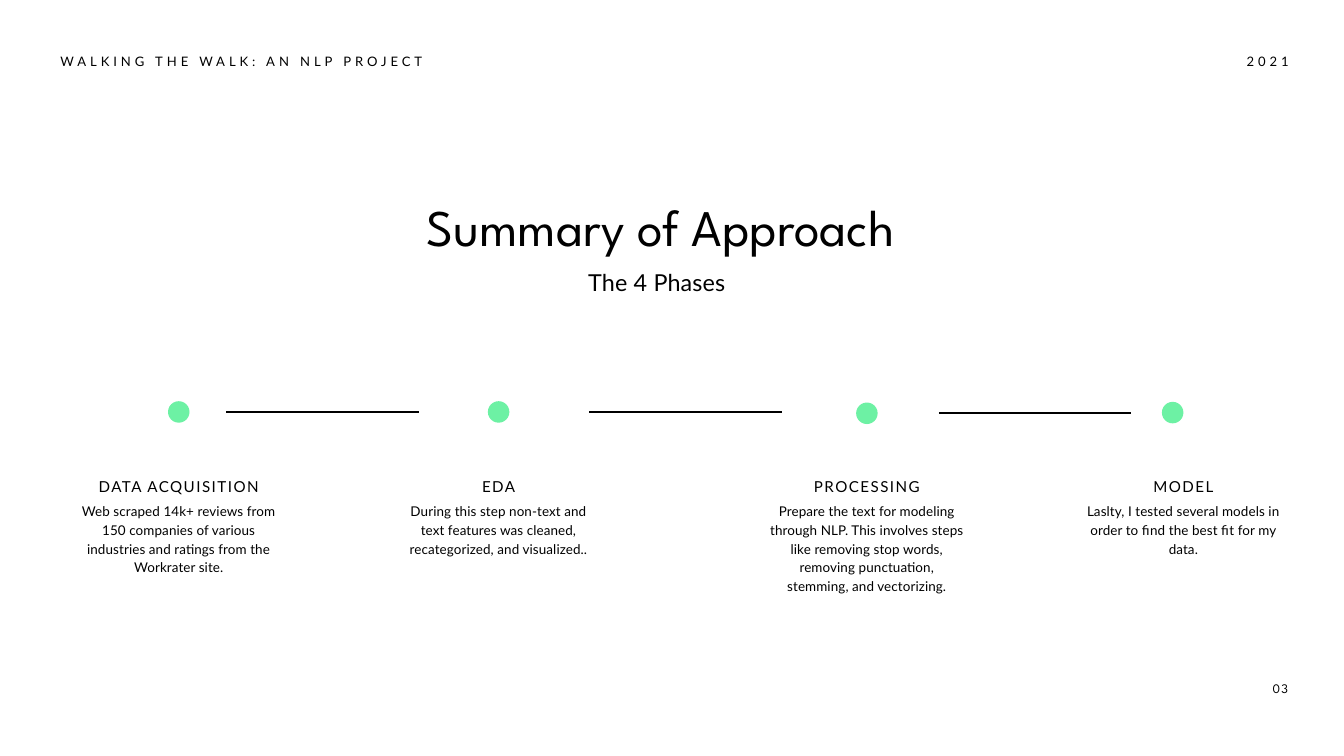
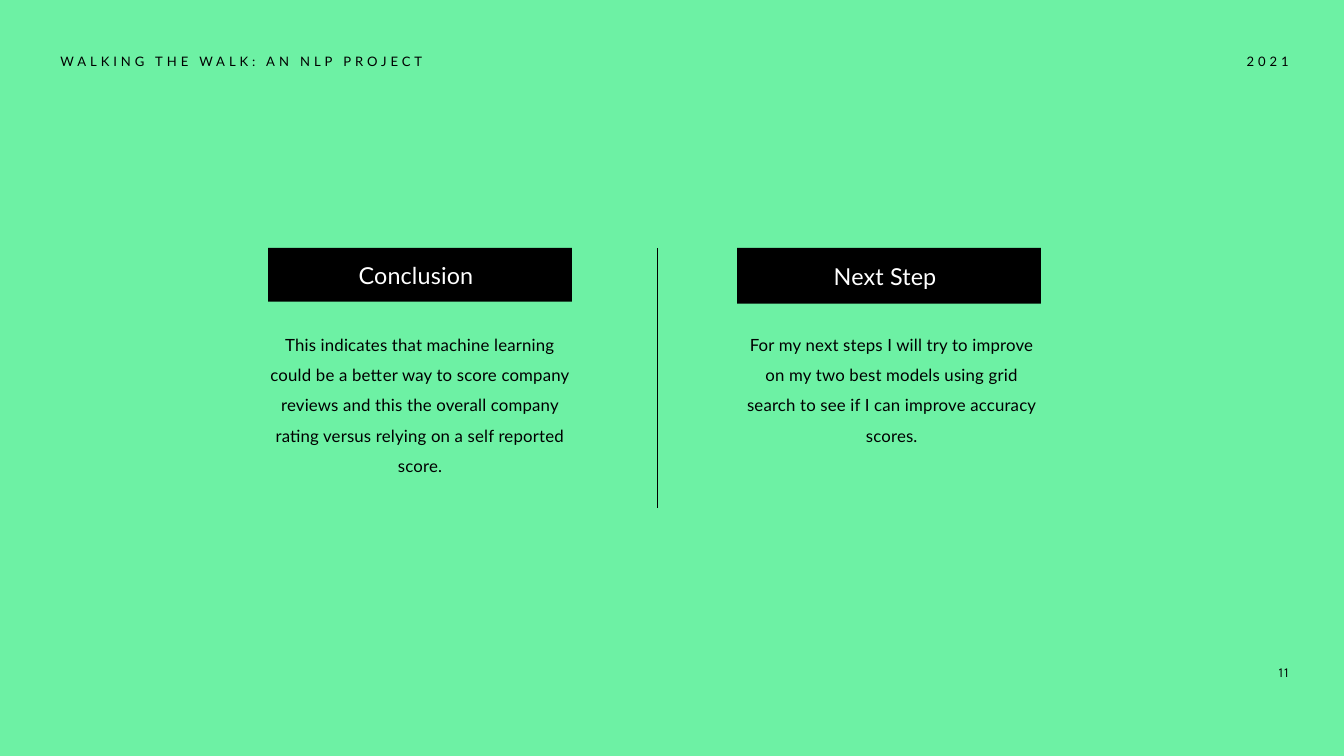
from lxml import etree
from pptx import Presentation
from pptx.dml.color import RGBColor
from pptx.enum.shapes import MSO_CONNECTOR, MSO_SHAPE
from pptx.enum.text import MSO_ANCHOR, MSO_AUTO_SIZE, PP_ALIGN
from pptx.oxml.ns import qn
from pptx.util import Inches, Pt

WIDTH, HEIGHT = 20, 11.25
BLACK, WHITE, GREEN = "000000", "FFFFFF", "6DF1A4"
BODY_FONT, DISPLAY_FONT = "Lato", "League Spartan"
LEFT, CENTER, RIGHT = PP_ALIGN.LEFT, PP_ALIGN.CENTER, PP_ALIGN.RIGHT

# style: font, size, line spacing, letter spacing (all in points)
STYLES = {
    "header": (BODY_FONT, 14, 16.8, 4.2),
    "number": (DISPLAY_FONT, 14, 16.8, 1.4),
    "title": (DISPLAY_FONT, 55, 66, 0),
    "subtitle": (BODY_FONT, 25, 30, 0.2),
    "phase": (BODY_FONT, 16.2, 24.3, 1.6),
    "detail": (BODY_FONT, 14.4, 20.1, 0.1),
    "body": (BODY_FONT, 18, 32.4, 0.2),
}

HEADER, YEAR = "WALKING THE WALK: AN NLP PROJECT", "2021"
TITLE, SUBTITLE = "Summary of Approach", "The 4 Phases"

# heading, detail, column centre, dot centre x and y
PHASES = [
    ("DATA ACQUISITION",
     "Web scraped 14k+ reviews from 150 companies of various industries "
     "and ratings from the Workrater site.", 2.66, 2.66, 6.13),
    ("EDA",
     "During this step non-text and text features was cleaned, "
     "recategorized, and visualized..", 7.42, 7.42, 6.13),
    ("PROCESSING",
     "Prepare the text for modeling through NLP. This involves steps like "
     "removing stop words, removing punctuation, stemming, and vectorizing.",
     12.9, 12.9, 6.15),
    ("MODEL",
     "Laslty, I tested several models in order to find the best fit for my "
     "data.", 17.61, 17.45, 6.14),
]
LINKS = [(3.37, 6.13), (8.77, 6.13), (13.97, 6.15)]  # left end and height
LINK_LENGTH, DOT = 2.86, 0.32
PHASE_WIDTH, DETAIL_WIDTH = 3.03, 2.97

# heading, text, banner left, banner height, text left
PANELS = [
    ("Conclusion",
     "This indicates that machine learning could be a better way to score "
     "company reviews and this the overall company rating versus relying on "
     "a self reported score.", 3.99, 0.8, 3.99),
    ("Next Step",
     "For my next steps I will try to improve on my two best models using "
     "grid search to see if I can improve accuracy scores.",
     10.97, 0.83, 11.01),
]
PANEL_TOP, PANEL_WIDTH, DIVIDER_X, DIVIDER_LENGTH = 3.69, 4.52, 9.78, 3.87


def rgb(color):
    return RGBColor.from_string(color)


def inches(*lengths):
    return [Inches(length) for length in lengths]


def write(shape, text, style, align=CENTER, color=BLACK,
          anchor=MSO_ANCHOR.TOP, margin_right=0):
    font, size, line, tracking = STYLES[style]
    frame = shape.text_frame
    frame.word_wrap = True
    frame.auto_size = MSO_AUTO_SIZE.NONE
    frame.vertical_anchor = anchor
    frame.margin_left = frame.margin_top = frame.margin_bottom = 0
    frame.margin_right = Inches(margin_right)
    para = frame.paragraphs[0]
    para.alignment = align
    para.line_spacing = Pt(line)
    span = para.add_run()
    span.text = text
    span.font.name, span.font.size = font, Pt(size)
    span.font.color.rgb = rgb(color)
    if tracking:
        span.font._element.set("spc", str(round(tracking * 100)))


def add_text(page, bounds, text, style, align=CENTER):
    write(page.shapes.add_textbox(*inches(*bounds)), text, style, align)


def add_filled(page, kind, bounds, color):
    shape = page.shapes.add_shape(kind, *inches(*bounds))
    shape.shadow.inherit = False
    shape.fill.solid()
    shape.fill.fore_color.rgb = rgb(color)
    shape.line.fill.background()
    return shape


def add_line(page, ends, weight):
    line = page.shapes.add_connector(MSO_CONNECTOR.STRAIGHT, *inches(*ends))
    line.line.color.rgb = rgb(BLACK)
    line.line.width = Pt(weight)
    etree.SubElement(line._element.spPr, qn("a:effectLst"))


def add_page(deck, layout, background, number, number_top):
    """Add a slide with its background, running header and page number."""
    page = deck.slides.add_slide(deck.slide_layouts[layout])
    page.background.fill.solid()
    page.background.fill.fore_color.rgb = rgb(background)
    add_text(page, (0.9, 0.8, 6.18, 0.23), HEADER, "header", LEFT)
    add_text(page, (14.5, 0.8, 4.68, 0.23), YEAR, "header", RIGHT)
    add_text(page, (18.32, number_top, 0.85, 0.23), number, "number", RIGHT)
    return page


def build_approach(deck):
    page = add_page(deck, 5, WHITE, "03", 10.12)
    title = page.shapes.title
    title.left, title.top, title.width, title.height = inches(
        5.05, 2.9, 9.56, 0.91)
    write(title, TITLE, "title")
    add_text(page, (5.05, 3.99, 9.45, 0.41), SUBTITLE, "subtitle")
    for left, y in LINKS:
        add_line(page, (left, y, left + LINK_LENGTH, y), 2.25)
    for heading, detail, center, dot_x, dot_y in PHASES:
        add_filled(page, MSO_SHAPE.OVAL,
                   (dot_x - DOT / 2, dot_y - DOT / 2, DOT, DOT), GREEN)
        add_text(page, (center - PHASE_WIDTH / 2, 7.04, PHASE_WIDTH, 0.3),
                 heading, "phase")
        add_text(page, (center - DETAIL_WIDTH / 2, 7.45, DETAIL_WIDTH, 1.37),
                 detail, "detail")


def build_conclusion(deck):
    page = add_page(deck, 6, GREEN, "11", 9.89)
    add_line(page, (DIVIDER_X, PANEL_TOP, DIVIDER_X,
                    PANEL_TOP + DIVIDER_LENGTH), 0.75)
    for heading, text, left, height, text_left in PANELS:
        banner = add_filled(page, MSO_SHAPE.RECTANGLE,
                            (left, PANEL_TOP, PANEL_WIDTH, height), BLACK)
        write(banner, heading, "subtitle", color=WHITE,
              anchor=MSO_ANCHOR.MIDDLE, margin_right=0.12)
        add_text(page, (text_left, 4.83, PANEL_WIDTH, 2.59), text, "body")


def main():
    deck = Presentation()
    deck.slide_width, deck.slide_height = inches(WIDTH, HEIGHT)
    build_approach(deck)
    build_conclusion(deck)
    deck.save("out.pptx")


if __name__ == "__main__":
    main()
